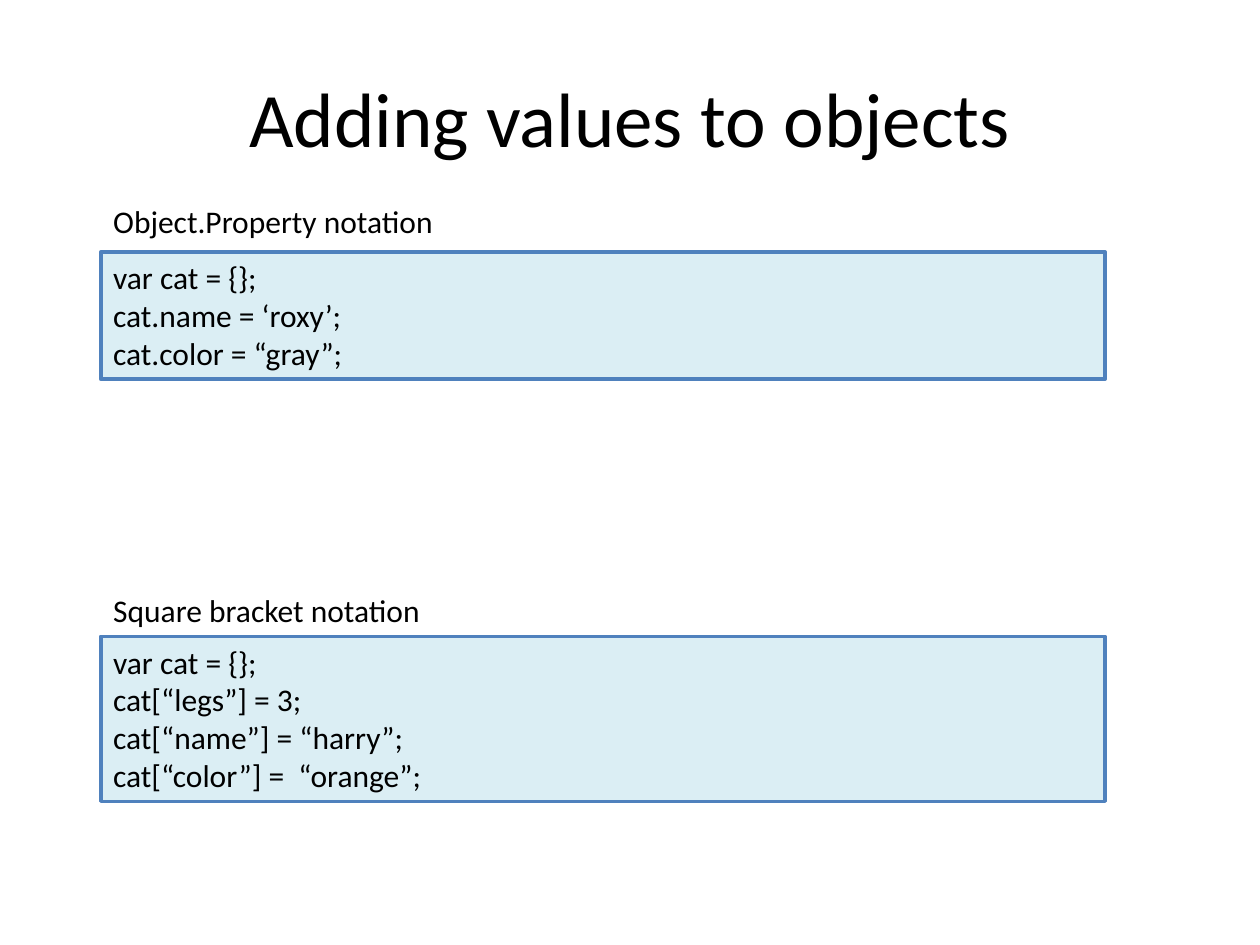
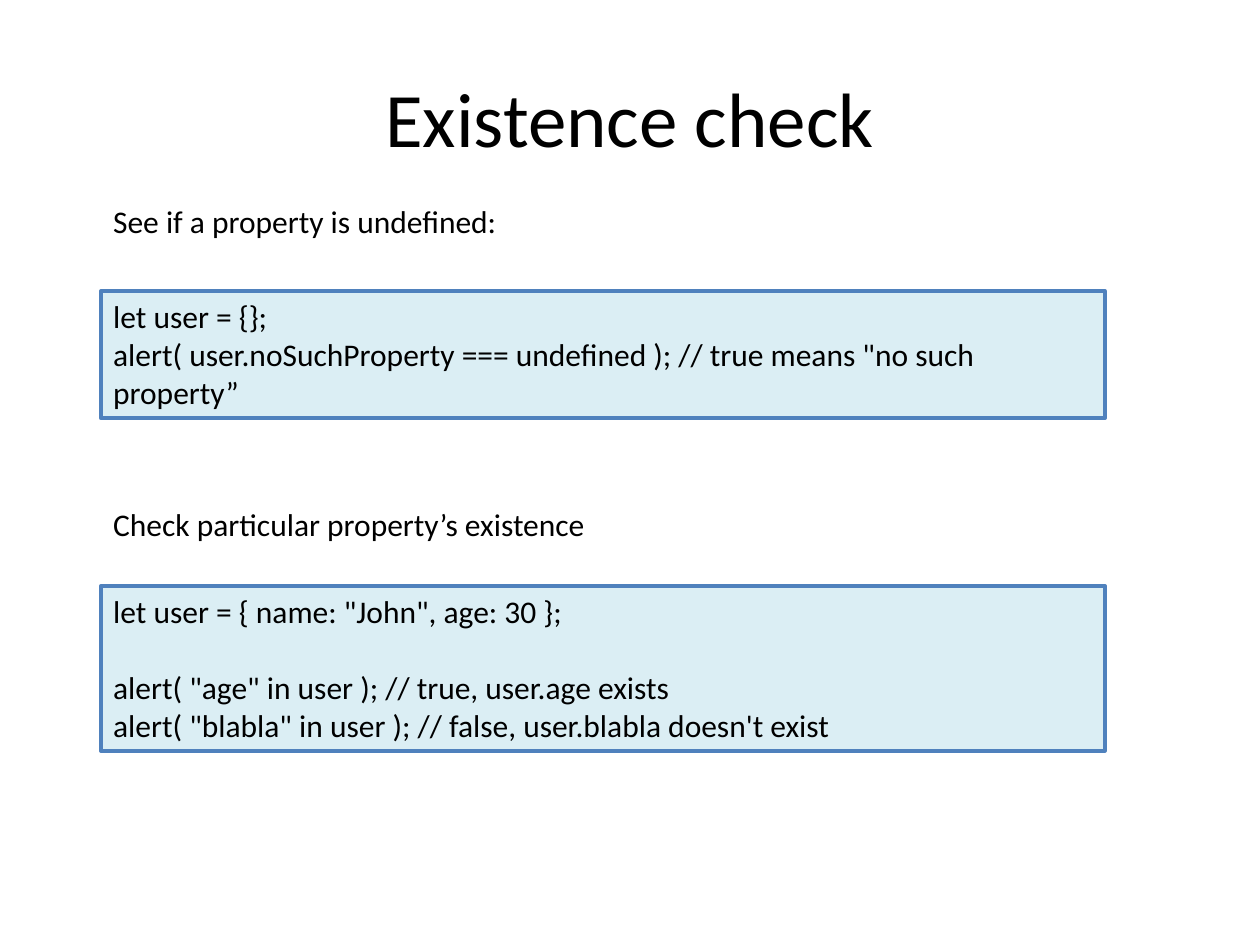
from pptx import Presentation
from pptx.dml.color import RGBColor
from pptx.enum.shapes import MSO_SHAPE
from pptx.enum.text import MSO_ANCHOR, PP_ALIGN
from pptx.util import Pt

# Content: title, then (label, label top, width, height, box top, rows, code groups)
SLIDES = [
    ("Adding values to objects", [
        ("Object.Property notation", 111.6, 216.72, 29.5, 144, 3,
         [["var cat = {};", "cat.name = ‘roxy’;", "cat.color = “gray”;"]]),
        ("Square bracket notation", 334.08, 216.72, 29.5, 363.6, 4,
         [["var cat = {};", "cat[“legs”] = 3;", "cat[“name”] = “harry”;",
           "cat[“color”] =  “orange”;"]]),
    ]),
    ("Existence check", [
        ("See if a property is undefined:", 111.6, 398.88, 51.12, 166.32, 3,
         [["let user = {};",
           'alert( user.noSuchProperty === undefined ); // true means "no such property”']]),
        ("Check particular property’s existence", 285.12, 440.64, 28.8, 334.8, 4,
         [['let user = { name: "John", age: 30 };'],
          ['alert( "age" in user ); // true, user.age exists',
           'alert( "blabla" in user ); // false, user.blabla doesn\'t exist']]),
    ]),
]

# Shared style
FONT, INK, FILL, EDGE = "Calibri", "000000", "DBEEF4", "4F81BD"
LEFT, WIDE = 57.6, 573.84
ROW, PAD = 21.6, 7.92


def color(code):
    return RGBColor.from_string(code)


def style(frame, size, align, anchor):
    frame.word_wrap = True
    frame.vertical_anchor = anchor
    for para in frame.paragraphs:
        para.alignment = align
        for run in para.runs:
            run.font.name = FONT
            run.font.size = Pt(size)
            run.font.color.rgb = color(INK)


def add_title(slide, text):
    title = slide.shapes.title
    title.left, title.top, title.width, title.height = Pt(36), Pt(21.6), Pt(648), Pt(90)
    title.text_frame.text = text
    style(title.text_frame, 44, PP_ALIGN.CENTER, MSO_ANCHOR.MIDDLE)


def add_label(slide, text, top, width, height):
    box = slide.shapes.add_textbox(Pt(LEFT), Pt(top), Pt(width), Pt(height))
    box.text_frame.text = text
    style(box.text_frame, 18, PP_ALIGN.LEFT, MSO_ANCHOR.TOP)


def add_code(slide, top, rows, groups):
    box = slide.shapes.add_shape(MSO_SHAPE.RECTANGLE, Pt(LEFT), Pt(top),
                                 Pt(WIDE), Pt(rows * ROW + PAD))
    box.shadow.inherit = False
    box.fill.solid()
    box.fill.fore_color.rgb = color(FILL)
    box.line.color.rgb = color(EDGE)
    box.line.width = Pt(2)
    frame = box.text_frame
    frame.text = "\n".join(line for group in groups for line in group)
    style(frame, 18, PP_ALIGN.LEFT, MSO_ANCHOR.TOP)
    # One row of space before each later group
    start = 0
    for group in groups[:-1]:
        start += len(group)
        frame.paragraphs[start].space_before = Pt(ROW)


def main():
    deck = Presentation()
    deck.slide_width, deck.slide_height = Pt(720), Pt(540)
    for title, blocks in SLIDES:
        slide = deck.slides.add_slide(deck.slide_layouts[5])
        add_title(slide, title)
        for label, top, width, height, box_top, rows, groups in blocks:
            add_label(slide, label, top, width, height)
            add_code(slide, box_top, rows, groups)
    deck.save("out.pptx")


if __name__ == "__main__":
    main()
